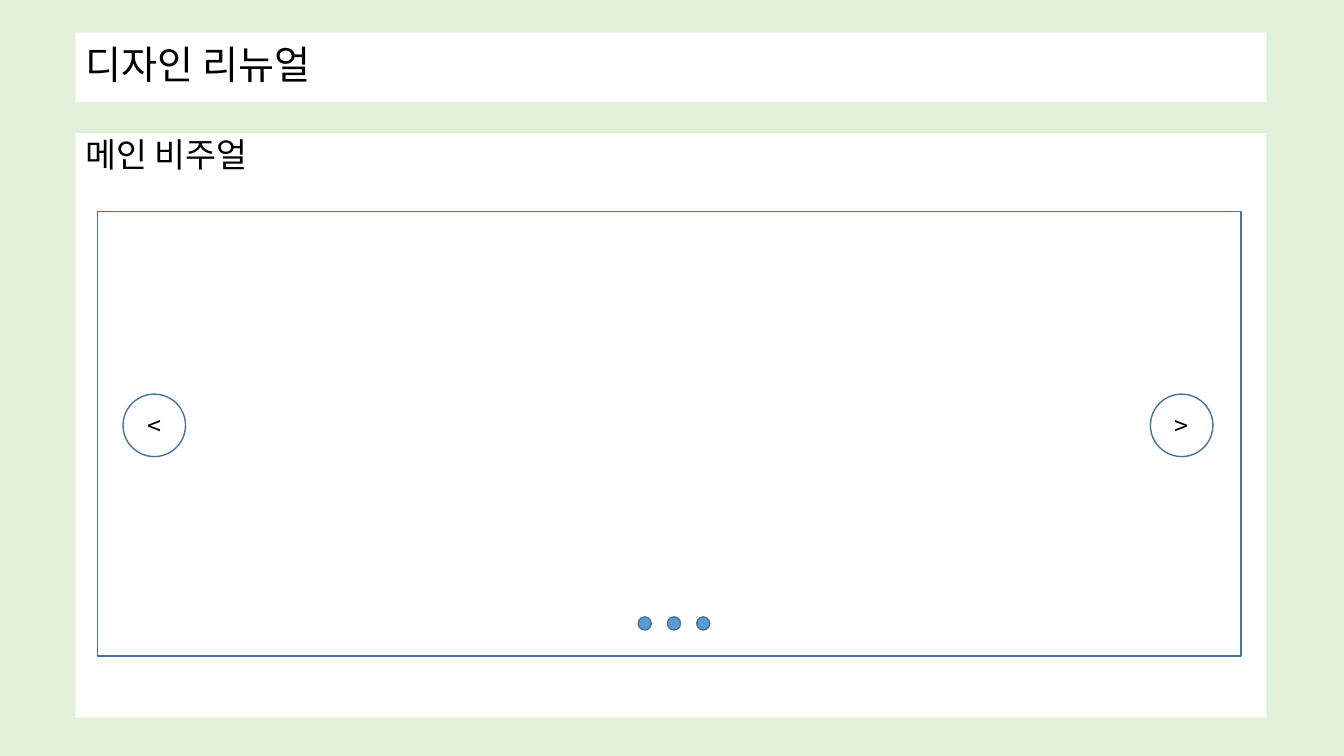
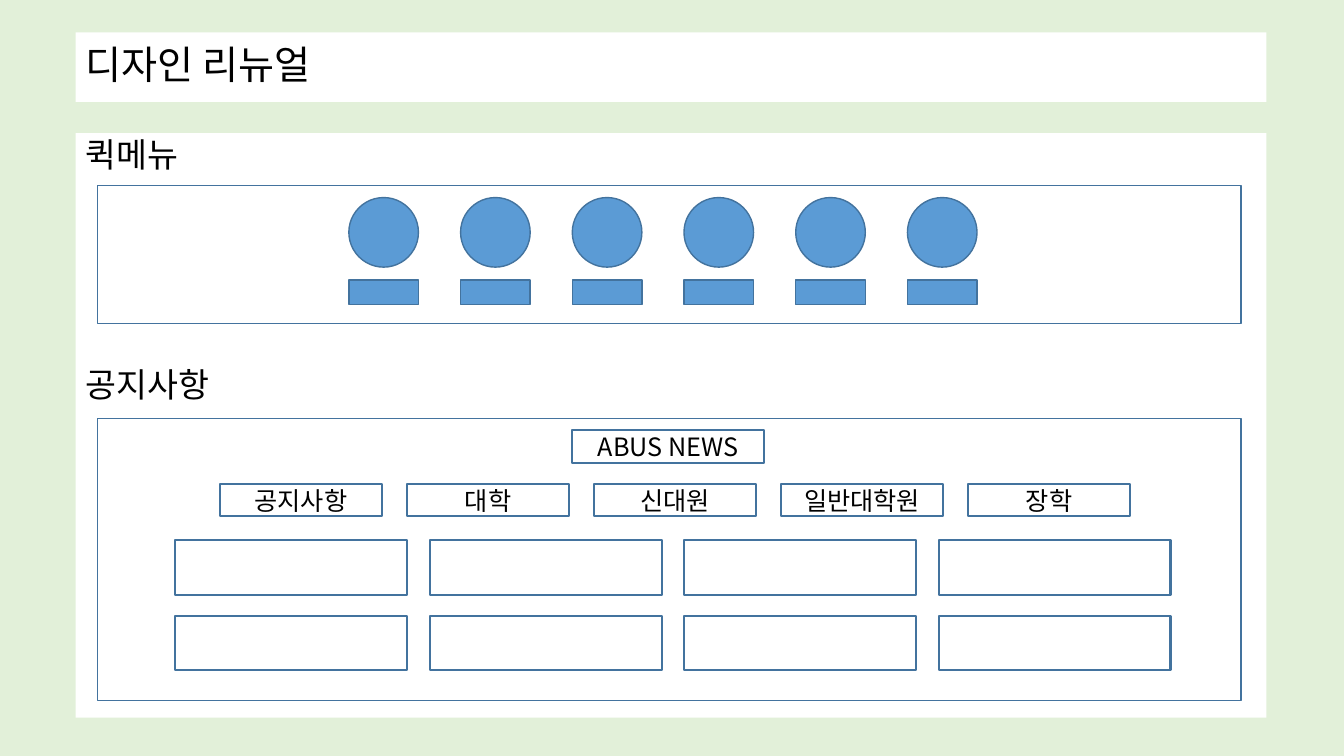
import pptx
import pptx.util
import pptx.dml.color
import pptx.enum.shapes
import pptx.enum.text
import pptx.oxml.ns
import lxml.etree

Inches = pptx.util.Inches
RECT = pptx.enum.shapes.MSO_SHAPE.RECTANGLE
OVAL = pptx.enum.shapes.MSO_SHAPE.OVAL
ALIGN = pptx.enum.text.PP_ALIGN
ANCHOR = pptx.enum.text.MSO_ANCHOR


def rgb(value):
    return pptx.dml.color.RGBColor.from_string(value)


def spread(first, last, count):
    """Evenly spaced positions from first to last."""
    return [first + (last - first) * i / (count - 1) for i in range(count)]


def write(sp, text, size=18, color="000000", font="Noto Sans CJK KR",
          align=ALIGN.CENTER, anchor=ANCHOR.MIDDLE, spacing=1.0):
    tf = sp.text_frame
    tf.word_wrap = True
    tf.vertical_anchor = anchor
    p = tf.paragraphs[0]
    p.alignment = align
    p.line_spacing = spacing
    r = p.add_run()
    r.text = text
    r.font.size = pptx.util.Pt(size)
    r.font.color.rgb = rgb(color)
    r.font.name = font
    # Korean glyphs take the East Asian typeface
    ea = lxml.etree.SubElement(r.font._element, pptx.oxml.ns.qn("a:ea"))
    ea.set("typeface", font)


class Deck:
    BACK, PANEL, ACCENT, OUTLINE = "E2F0D9", "FFFFFF", "5B9BD5", "43739E"
    LEFT, WIDTH = 0.75, 11.81
    FRAME_LEFT, FRAME_WIDTH = 0.97, 11.34
    BODY_TOP = 1.32

    def __init__(self):
        self.prs = pptx.Presentation()
        self.prs.slide_width = Inches(13.33)
        self.prs.slide_height = Inches(7.5)
        self.s = None

    def shape(self, kind, x, y, w, h, fill=None, line=OUTLINE, weight=1):
        sp = self.s.shapes.add_shape(kind, Inches(x), Inches(y), Inches(w), Inches(h))
        sp.shadow.inherit = False
        if fill:
            sp.fill.solid()
            sp.fill.fore_color.rgb = rgb(fill)
        else:
            sp.fill.background()
        if line:
            sp.line.color.rgb = rgb(line)
            sp.line.width = pptx.util.Pt(weight)
        else:
            sp.line.fill.background()
        return sp

    def slide(self, title):
        self.s = self.prs.slides.add_slide(self.prs.slide_layouts[6])
        back = self.s.background.fill
        back.solid()
        back.fore_color.rgb = rgb(self.BACK)
        self.shape(RECT, self.LEFT, self.BODY_TOP, self.WIDTH, 5.8, self.PANEL, None)
        band = self.shape(RECT, self.LEFT, 0.32, self.WIDTH, 0.69, self.PANEL, None)
        write(band, title, size=28, align=ALIGN.LEFT, spacing=0.9)

    def heading(self, text, y=BODY_TOP):
        sp = self.s.shapes.add_textbox(Inches(self.LEFT), Inches(y),
                                       Inches(self.WIDTH), Inches(0.5))
        write(sp, text, size=24, align=ALIGN.LEFT, anchor=ANCHOR.TOP, spacing=0.9)

    def frame(self, y, h):
        self.shape(RECT, self.FRAME_LEFT, y, self.FRAME_WIDTH, h)

    def arrow_button(self, text, x):
        write(self.shape(OVAL, x, 3.91, 0.62, 0.62, self.PANEL), text)

    def box(self, x, y, w, h, text=None):
        sp = self.shape(RECT, x, y, w, h, weight=1.5)
        if text:
            write(sp, text)


def main():
    deck = Deck()
    title = "디자인 리뉴얼"

    # Main visual: carousel with arrows and page dots
    deck.slide(title)
    deck.heading("메인 비주얼")
    deck.frame(2.1, 4.41)
    deck.arrow_button("<", 1.22)
    deck.arrow_button(">", 11.41)
    for x in spread(6.33, 6.91, 3):
        deck.shape(OVAL, x, 6.12, 0.13, 0.13, deck.ACCENT)

    # Quick menu: icons with labels
    deck.slide(title)
    deck.heading("퀵메뉴")
    deck.frame(1.84, 1.37)
    for x in spread(3.46, 9, 6):
        deck.shape(OVAL, x, 1.96, 0.69, 0.69, deck.ACCENT)
        deck.shape(RECT, x, 2.78, 0.69, 0.24, deck.ACCENT)

    # Notices: news title, tabs and a grid of cards
    deck.heading("공지사항", 3.61)
    deck.frame(4.15, 2.8)
    deck.box(5.67, 4.27, 1.91, 0.32, "ABUS NEWS")
    tabs = ["공지사항", "대학", "신대원", "일반대학원", "장학"]
    for x, tab in zip(spread(2.18, 9.6, len(tabs)), tabs):
        deck.box(x, 4.8, 1.61, 0.32, tab)
    for x in spread(1.74, 9.31, 4):
        for y in (5.36, 6.11):
            deck.box(x, y, 2.3, 0.54)

    deck.prs.save("out.pptx")


if __name__ == "__main__":
    main()
